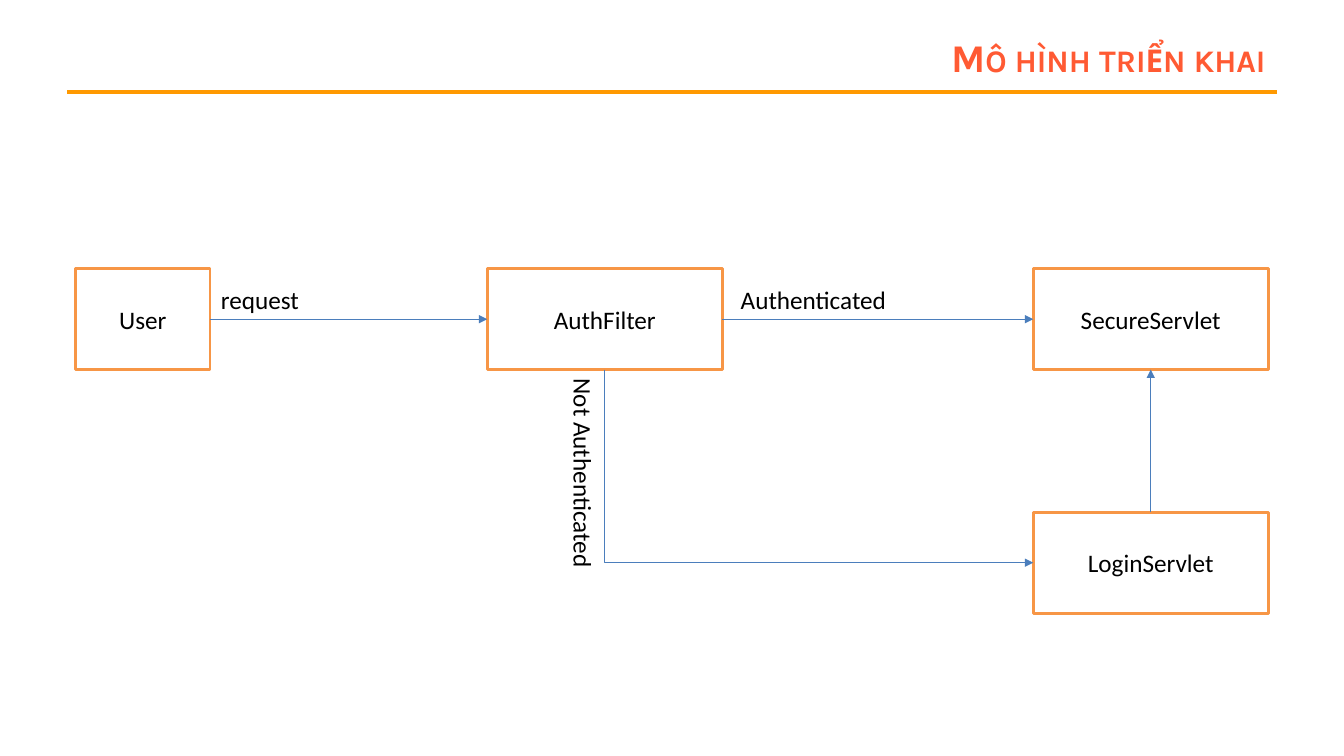
from lxml import etree
from pptx import Presentation, util as u
from pptx.dml.color import RGBColor
from pptx.enum import shapes, text
from pptx.oxml.ns import qn

TITLE = ("Mô hình triển khai", (234, 29, 981, 51))
RULE = (64, 88, 1216, 88)
BOXES = {
    "User": (72, 256, 128, 96),
    "AuthFilter": (464, 256, 224, 96),
    "SecureServlet": (984, 256, 224, 96),
    "LoginServlet": (984, 488, 224, 96),
}
TOP, LEFT, BOTTOM, RIGHT = range(4)
ARROWS = [
    ("User", RIGHT, "AuthFilter", LEFT),
    ("AuthFilter", RIGHT, "SecureServlet", LEFT),
    ("LoginServlet", TOP, "SecureServlet", BOTTOM),
]
BENT_ARROW = ("AuthFilter", "LoginServlet")
LABELS = [
    ("request", (201, 266, 94, 38), 0),
    ("Authenticated", (696, 266, 159, 38), 0),
    ("Not Authenticated", (455, 433, 202, 38), 90),
]
TITLE_FONT = {"name": "Karla", "size": u.Pt(28), "bold": True}
BODY_FONT = {"name": "Calibri", "size": u.Pt(18), "bold": False}
PX = u.Inches(1) // 96


def px(*lengths):
    return [round(n * PX) for n in lengths]


def color(target, value):
    target.rgb = RGBColor.from_string(value)


def write(sp, words, font, ink, align, anchor, wrap=True):
    tf = sp.text_frame
    tf.word_wrap = wrap
    tf.vertical_anchor = anchor
    p = tf.paragraphs[0]
    p.alignment = align
    r = p.add_run()
    r.text = words
    for key, value in font.items():
        setattr(r.font, key, value)
    color(r.font.color, ink)
    return r


def add_line(kind, ends, ink, width, arrow=True):
    line = slide.shapes.add_connector(kind, *px(*ends))
    color(line.line.color, ink)
    line.line.width = u.Pt(width)
    if arrow:
        etree.SubElement(line.line._get_or_add_ln(), qn("a:tailEnd"), type="triangle")
    etree.SubElement(line._element.spPr, qn("a:effectLst"))
    return line


prs = Presentation()
prs.slide_width, prs.slide_height = px(1280, 720)
slide = prs.slides.add_slide(prs.slide_layouts[5])
straight = shapes.MSO_CONNECTOR.STRAIGHT
middle = text.MSO_ANCHOR.MIDDLE

add_line(straight, RULE, "FF9900", 3, arrow=False)

words, frame = TITLE
title = slide.shapes.title
title.left, title.top, title.width, title.height = px(*frame)
r = write(title, words, TITLE_FONT, "FF5A33", text.PP_ALIGN.RIGHT, middle)
r.font._element.set("cap", "small")
title.text_frame.auto_size = text.MSO_AUTO_SIZE.NONE

boxes = {}
for name, frame in BOXES.items():
    sp = slide.shapes.add_shape(shapes.MSO_SHAPE.RECTANGLE, *px(*frame))
    sp.shadow.inherit = False
    sp.fill.solid()
    color(sp.fill.fore_color, "FFFFFF")
    color(sp.line.color, "F79646")
    sp.line.width = u.Pt(2)
    write(sp, name, BODY_FONT, "000000", text.PP_ALIGN.CENTER, middle)
    boxes[name] = sp

for source, start, target, end in ARROWS:
    arrow = add_line(straight, (0, 0, 0, 0), "4B7EBC", 0.75)
    arrow.begin_connect(boxes[source], start)
    arrow.end_connect(boxes[target], end)

source, target = (BOXES[name] for name in BENT_ARROW)
x1, y1 = source[0] + source[2] / 2, source[1] + source[3]
x2, y2 = target[0], target[1] + target[3] / 2
cx, cy = (x1 + x2) / 2, (y1 + y2) / 2
half_w, half_h = (y2 - y1) / 2, (x2 - x1) / 2
bent = add_line(shapes.MSO_CONNECTOR.ELBOW,
                (cx + half_w, cy - half_h, cx - half_w, cy + half_h), "4B7EBC", 0.75)
bent._element.spPr.find(qn("a:xfrm")).set("rot", str(270 * 60000))
bent._element.spPr.find(qn("a:prstGeom")).set("prst", "bentConnector2")

for words, frame, turn in LABELS:
    label = slide.shapes.add_textbox(*px(*frame))
    label.rotation = turn
    write(label, words, BODY_FONT, "000000", text.PP_ALIGN.LEFT, text.MSO_ANCHOR.TOP, wrap=False)
    label.text_frame.auto_size = text.MSO_AUTO_SIZE.SHAPE_TO_FIT_TEXT

prs.save("out.pptx")
